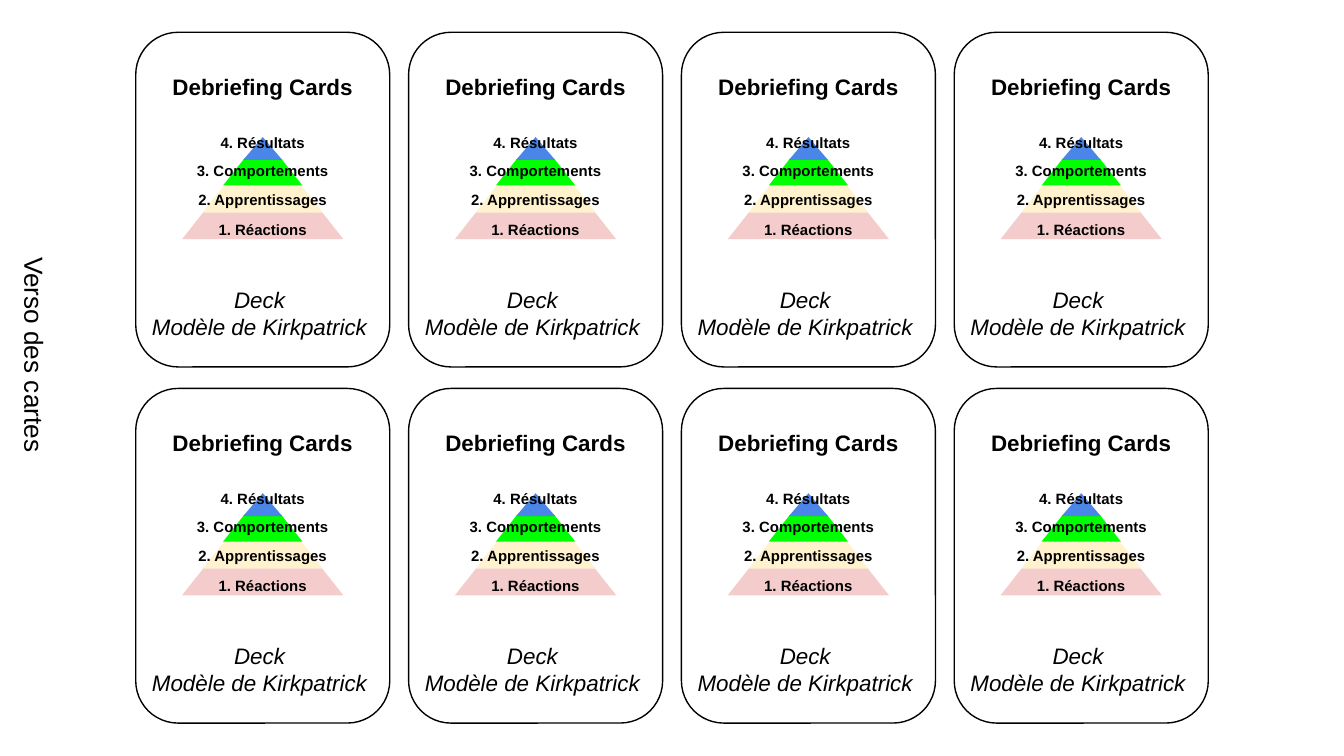
from pptx import Presentation
from pptx.dml.color import RGBColor
from pptx.enum.shapes import MSO_SHAPE
from pptx.enum.text import MSO_ANCHOR, MSO_AUTO_SIZE, PP_ALIGN
from pptx.util import Inches, Pt

ROUNDED = MSO_SHAPE.ROUNDED_RECTANGLE
TRAPEZOID = MSO_SHAPE.TRAPEZOID
TRIANGLE = MSO_SHAPE.ISOSCELES_TRIANGLE
TOP = MSO_ANCHOR.TOP
FIXED_SIZE = MSO_AUTO_SIZE.NONE
LEFT, CENTER = PP_ALIGN.LEFT, PP_ALIGN.CENTER

FONT = "Arial"
BLACK, WHITE = "000000", "FFFFFF"
SLIDE_WIDTH = 10
SLIDE_HEIGHT = SLIDE_WIDTH * 9 / 16
COLUMNS, ROWS = 4, 2
CARD_LEFT, CARD_TOP = 1.01, 0.24
CARD_WIDTH, CARD_HEIGHT = 1.89, 2.49
COLUMN_STEP, ROW_STEP = 2.03, 2.65
LABEL_WIDTH = 1.2

TIERS = [
    (TRAPEZOID, 1.34, 1.2, 0.2, "F4CCCC"),
    (TRAPEZOID, 1.14, 0.89, 0.2, "FFF2CC"),
    (TRAPEZOID, 0.94, 0.59, 0.2, "00FF00"),
    (TRIANGLE, 0.78, 0.29, 0.17, "4A86E8"),
]
LEVELS = [
    ("4. Résultats", 0.69, 0.13),
    ("3. Comportements", 0.86, 0.23),
    ("2. Apprentissages", 1.08, 0.23),
    ("1. Réactions", 1.3, 0.23),
]


def color(value):
    """Turn a hex string into a colour."""
    return RGBColor.from_string(value)


def add_run(paragraph, text, size, bold=False, italic=False):
    """Add one black run to a paragraph."""
    run = paragraph.add_run()
    run.text = text
    run.font.name = FONT
    run.font.size = Pt(size)
    run.font.bold = bold
    run.font.italic = italic
    run.font.color.rgb = color(BLACK)


def add_filled_shape(shapes, kind, left, top, width, height, fill):
    """Add a flat preset shape without an outline."""
    shape = shapes.add_shape(kind, Inches(left), Inches(top), Inches(width), Inches(height))
    shape.shadow.inherit = False
    shape.fill.solid()
    shape.fill.fore_color.rgb = color(fill)
    shape.line.fill.background()
    return shape


def add_label(shapes, text, left, top, width, height, size, bold=False, align=CENTER):
    """Add a wrapped one-line text box of fixed size."""
    label = shapes.add_textbox(Inches(left), Inches(top), Inches(width), Inches(height))
    frame = label.text_frame
    frame.word_wrap = True
    frame.auto_size = FIXED_SIZE
    frame.vertical_anchor = TOP
    frame.margin_left = frame.margin_right = Inches(0.1)
    frame.margin_top = frame.margin_bottom = Inches(0.1)
    frame.paragraphs[0].alignment = align
    add_run(frame.paragraphs[0], text, size, bold)
    return label


def add_card_face(shapes, left, top):
    """Add the outlined card with its heading and deck name."""
    card = add_filled_shape(shapes, ROUNDED, left, top, CARD_WIDTH, CARD_HEIGHT, WHITE)
    card.line.color.rgb = color(BLACK)
    card.line.width = Pt(0.75)
    frame = card.text_frame
    frame.word_wrap = True
    frame.vertical_anchor = TOP
    frame.margin_left = frame.margin_right = frame.margin_bottom = 0
    frame.margin_top = Inches(0.21)
    heading, deck, model = frame.paragraphs[0], frame.add_paragraph(), frame.add_paragraph()
    for paragraph in (heading, deck, model):
        paragraph.alignment = CENTER
    deck.space_before = Pt(100)
    add_run(heading, "Debriefing Cards", 12, bold=True)
    add_run(deck, "Deck ", 12, italic=True)
    add_run(model, "Modèle de Kirkpatrick ", 12, italic=True)


def add_pyramid(shapes, center, top):
    """Add the four-level pyramid and its labels."""
    for kind, offset, width, height, fill in TIERS:
        tier = add_filled_shape(shapes, kind, center - width / 2, top + offset, width, height, fill)
        if kind == TRAPEZOID:
            tier.adjustments[0] = 0.79
    for text, offset, height in LEVELS:
        add_label(shapes, text, center - LABEL_WIDTH / 2, top + offset, LABEL_WIDTH, height, 8, bold=True)


def add_card(slide, left, top):
    """Add one grouped card back."""
    shapes = slide.shapes.add_group_shape().shapes
    add_card_face(shapes, left, top)
    add_pyramid(shapes, left + CARD_WIDTH / 2, top)


def main():
    """Build the sheet of card backs."""
    deck = Presentation()
    deck.slide_width, deck.slide_height = Inches(SLIDE_WIDTH), Inches(SLIDE_HEIGHT)
    slide = deck.slides.add_slide(deck.slide_layouts[6])
    for row in range(ROWS):
        for column in range(COLUMNS):
            add_card(slide, CARD_LEFT + column * COLUMN_STEP, CARD_TOP + row * ROW_STEP)
    side_note = add_label(slide.shapes, "Verso des cartes", -0.57, 2.47, 1.7, 0.39, 14, align=LEFT)
    side_note.rotation = 90
    deck.save("out.pptx")


if __name__ == "__main__":
    main()
